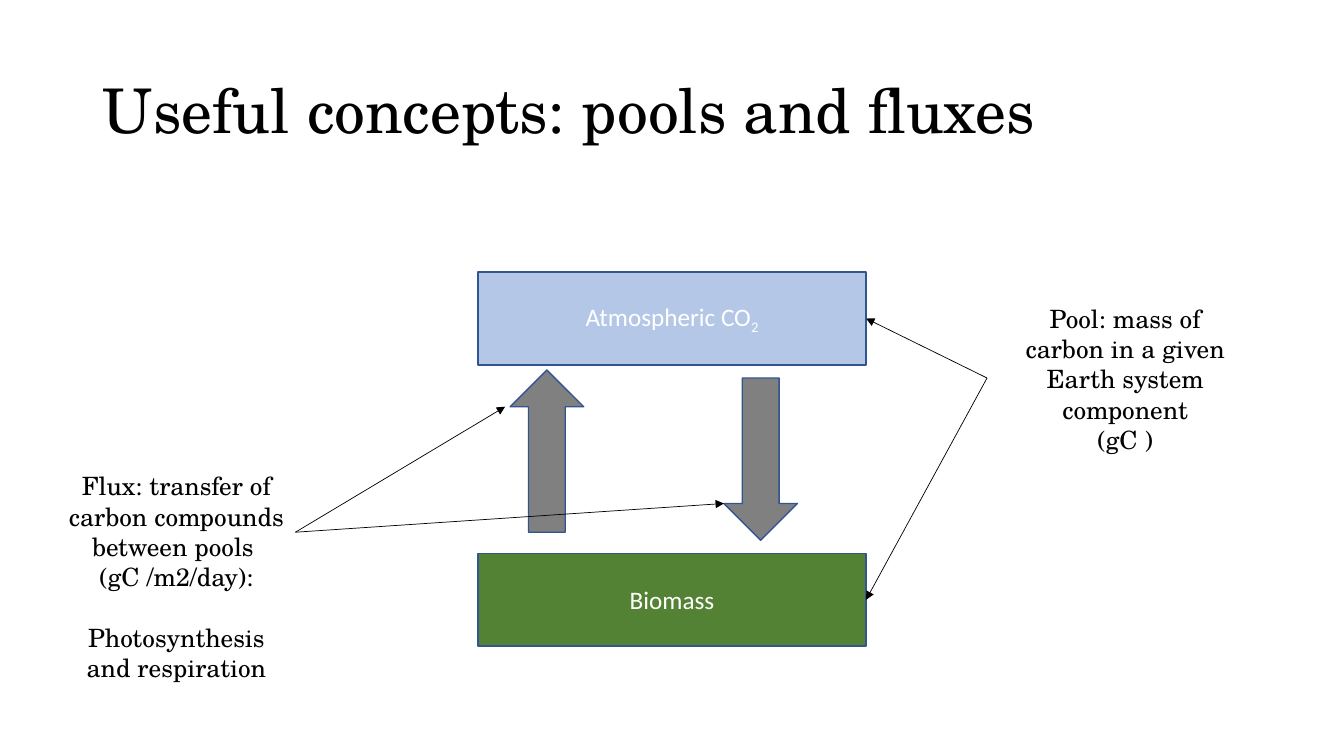
from lxml import etree
from pptx import Presentation
from pptx.dml.color import RGBColor
from pptx.enum import shapes, text
from pptx.oxml.ns import qn
from pptx.util import Inches, Pt

BLACK = RGBColor(0x00, 0x00, 0x00)
WHITE = RGBColor(0xFF, 0xFF, 0xFF)
SKY = RGBColor(0xB4, 0xC7, 0xE7)
LEAF = RGBColor(0x54, 0x82, 0x35)
GREY = RGBColor(0x80, 0x80, 0x80)
OUTLINE = RGBColor(0x32, 0x54, 0x91)
SERIF, SANS = "TeX Gyre Schola", "Calibri"

POOL_HEIGHT = 0.92
ARROW_WIDTH, ARROW_HEIGHT = 0.73, 1.61
WING = ARROW_WIDTH / 2


def format_font(font, name, size, color):
    """Apply a typeface, point size and colour."""
    for key, value in {"name": name, "size": Pt(size)}.items():
        setattr(font, key, value)
    font.color.rgb = color


def add_title(slide, left, top, width, height, wording):
    """Place the slide title in its placeholder."""
    title = slide.shapes.title
    box = {"left": left, "top": top, "width": width, "height": height}
    for key, value in box.items():
        setattr(title, key, Inches(value))
    title.text_frame.text = wording
    title.text_frame.vertical_anchor = text.MSO_ANCHOR.MIDDLE
    heading = title.text_frame.paragraphs[0]
    heading.alignment = text.PP_ALIGN.LEFT
    heading.line_spacing = 0.9
    format_font(heading.runs[0].font, SERIF, 44, BLACK)


def add_block(slide, preset, left, top, width, height, fill):
    """Draw a filled, outlined preset shape."""
    block = slide.shapes.add_shape(
        preset, Inches(left), Inches(top), Inches(width), Inches(height))
    block.shadow.inherit = False
    block.fill.solid()
    block.fill.fore_color.rgb = fill
    block.line.color.rgb = OUTLINE
    block.line.width = Pt(1)
    return block


def add_pool(slide, left, top, width, fill, name, subscript=""):
    """Draw a carbon pool with its centred name."""
    pool = add_block(slide, shapes.MSO_SHAPE.RECTANGLE,
                     left, top, width, POOL_HEIGHT, fill)
    pool.text_frame.vertical_anchor = text.MSO_ANCHOR.MIDDLE
    label = pool.text_frame.paragraphs[0]
    label.alignment = text.PP_ALIGN.CENTER
    for wording, baseline in ((name, 0), (subscript, -25000)):
        if wording:
            run = label.add_run()
            run.text = wording
            format_font(run.font, SANS, 18, WHITE)
            if baseline:
                run.font._element.set("baseline", str(baseline))
    return pool


def add_pointer(slide, start, end, target=None):
    """Draw a thin arrow, joined to the target's right side if one is given."""
    pointer = slide.shapes.add_connector(
        shapes.MSO_CONNECTOR.STRAIGHT, *(Inches(n) for n in (*start, *end)))
    if target is not None:
        pointer.end_connect(target, 3)
    pointer.line.color.rgb = BLACK
    pointer.line.width = Pt(0.5)
    properties = pointer._element.spPr
    etree.SubElement(properties.find(qn("a:ln")), qn("a:tailEnd"), type="triangle")
    etree.SubElement(properties, qn("a:effectLst"))


def add_definition(slide, left, top, width, height, lines):
    """Write centred lines, each given with its space before in points."""
    box = slide.shapes.add_textbox(
        Inches(left), Inches(top), Inches(width), Inches(height))
    frame = box.text_frame
    frame.word_wrap = True
    for index, (wording, gap) in enumerate(lines):
        line = frame.add_paragraph() if index else frame.paragraphs[0]
        line.alignment = text.PP_ALIGN.CENTER
        if gap:
            line.space_before = Pt(gap)
        run = line.add_run()
        run.text = wording
        format_font(run.font, SERIF, 18, BLACK)


def add_cycle(slide, left, top, width):
    """Draw both pools, the fluxes between them and the pointers to each."""
    atmosphere = add_pool(slide, left, top, width, SKY, "Atmospheric CO", "2")
    biomass = add_pool(slide, left, top + 2.79, width, LEAF, "Biomass")
    up_left, up_top = left + 0.32, top + 0.97
    down_left, down_top = left + 2.44, top + 1.05
    add_block(slide, shapes.MSO_SHAPE.UP_ARROW,
              up_left, up_top, ARROW_WIDTH, ARROW_HEIGHT, GREY)
    add_block(slide, shapes.MSO_SHAPE.DOWN_ARROW,
              down_left, down_top, ARROW_WIDTH, ARROW_HEIGHT, GREY)

    pool_origin = (left + width + 1.2, down_top)
    for pool, pool_top in ((atmosphere, top), (biomass, top + 2.79)):
        side = (left + width, pool_top + POOL_HEIGHT / 2)
        add_pointer(slide, pool_origin, side, pool)

    flux_origin = (left - 1.81, up_top + ARROW_HEIGHT)
    wing_tips = ((up_left - 0.05, up_top + WING),
                 (down_left, down_top + ARROW_HEIGHT - WING))
    for tip in wing_tips:
        add_pointer(slide, flux_origin, tip)


def main():
    """Build and save the slide."""
    deck = Presentation()
    deck.slide_width, deck.slide_height = Inches(13.33), Inches(7.5)
    slide = deck.slides.add_slide(deck.slide_layouts[5])
    add_title(slide, 0.92, 0.4, 11.5, 1.45, "Useful concepts: pools and fluxes")
    add_cycle(slide, 4.74, 2.7, 3.85)
    add_definition(slide, 0.58, 4.62, 2.34, 2.22, (
        ("Flux: transfer of carbon compounds between pools ", 0),
        ("(gC /m2/day):", 0),
        ("Photosynthesis and respiration", 21.6)))
    add_definition(slide, 9.99, 2.96, 2.34, 1.62, (
        ("Pool: mass of carbon in a given Earth system component", 0),
        ("(gC )", 0)))
    deck.save("out.pptx")


if __name__ == "__main__":
    main()
